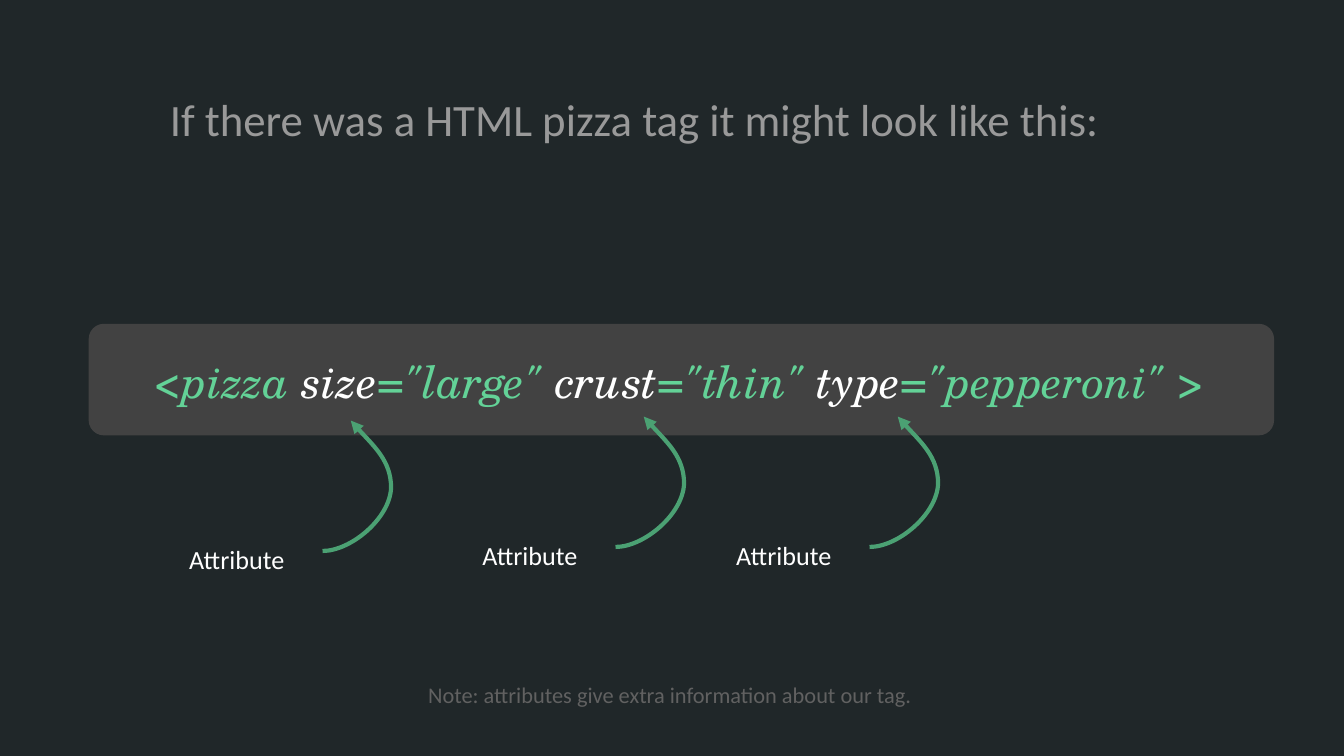
"""Build a slide that points out the attributes of a made-up HTML pizza tag."""
from lxml.etree import SubElement
from pptx import Presentation
from pptx.dml.color import RGBColor
from pptx.enum.shapes import MSO_SHAPE
from pptx.enum.text import MSO_ANCHOR, MSO_AUTO_SIZE, PP_ALIGN
from pptx.oxml.ns import qn
from pptx.util import Inches, Pt

DARK = RGBColor(0x20, 0x27, 0x29)
PANEL = RGBColor(0x42, 0x42, 0x42)
MINT = RGBColor(0x63, 0xD2, 0x97)
GREEN = RGBColor(0x4B, 0xA1, 0x73)
WHITE = RGBColor(0xFF, 0xFF, 0xFF)
SILVER = RGBColor(0x99, 0x99, 0x99)
GRAY = RGBColor(0x61, 0x61, 0x61)

TAG = [
    ("<pizza ", MINT), ("size", WHITE), ('="large" ', MINT), ("crust", WHITE),
    ('="thin" ', MINT), ("type", WHITE), ('="pepperoni" >', MINT),
]
LABELS = [(1.31, 3.91), (3.49, 3.88), (5.38, 3.88)]
CURVE = [
    (1.3, -0.78), (1.43, -0.63), (1.6, -0.48), (1.6, -0.28),
    (1.59, -0.05), (1.3, 0.19), (1.09, 0.19),
]


def write(shape, runs, font, size, align, spacing, italic=None):
    frame = shape.text_frame
    frame.word_wrap = True
    frame.auto_size = MSO_AUTO_SIZE.NONE
    frame.margin_left = frame.margin_right = Inches(0.1)
    frame.margin_top = frame.margin_bottom = Inches(0.1)
    para = frame.paragraphs[0]
    para.alignment = align
    para.line_spacing = spacing
    for text, color in runs:
        run = para.add_run()
        run.text = text
        run.font.name = font
        run.font.size = Pt(size)
        run.font.italic = italic
        run.font.color.rgb = color


def add_arrow(shapes, left, top):
    points = [(Inches(left + x), Inches(top + y)) for x, y in CURVE]
    builder = shapes.build_freeform(*points[0])
    builder.add_line_segments(points[1:], close=False)
    arrow = builder.convert_to_shape()
    lines = list(arrow.element.iter(qn("a:lnTo")))
    for i in range(0, len(lines), 3):
        track = lines[i].getparent()
        bend = SubElement(track, qn("a:cubicBezTo"))
        for line in lines[i:i + 3]:
            bend.append(line[0])
            track.remove(line)
    arrow.shadow.inherit = False
    arrow.fill.background()
    arrow.line.color.rgb = GREEN
    arrow.line.width = Pt(2.25)
    SubElement(arrow.line._get_or_add_ln(), qn("a:headEnd"), type="triangle")


deck = Presentation()
deck.slide_width, deck.slide_height = Inches(10), Inches(10 * 9 / 16)
slide = deck.slides.add_slide(deck.slide_layouts[5])
slide.background.fill.solid()
slide.background.fill.fore_color.rgb = DARK
shapes = slide.shapes

title = shapes.title
title.left, title.top = Inches(0.54), Inches(0.58)
title.width, title.height = Inches(9.03), Inches(4.45)
title.text_frame.vertical_anchor = MSO_ANCHOR.MIDDLE
write(title, TAG, "TeX Gyre Schola", 24, PP_ALIGN.CENTER, 1.15, True)

panel = shapes.add_shape(
    MSO_SHAPE.ROUNDED_RECTANGLE, Inches(0.66), Inches(2.41), Inches(8.82), Inches(0.83))
panel.adjustments[0] = 0.136
panel.shadow.inherit = False
panel.fill.solid()
panel.fill.fore_color.rgb = PANEL
panel.line.fill.background()
title.element.addprevious(panel.element)

note = shapes.add_textbox(Inches(0.4), Inches(4.94), Inches(9.17), Inches(0.44))
write(note, [("Note: attributes give extra information about our tag.", GRAY)],
      "Calibri", 12, PP_ALIGN.CENTER, 1.15)

intro = shapes.add_textbox(Inches(0.4), Inches(0.58), Inches(8.64), Inches(0.83))
write(intro, [("If there was a HTML pizza tag it might look like this:", SILVER)],
      "Calibri", 24, PP_ALIGN.CENTER, 1.0)

for left, top in LABELS:
    add_arrow(shapes, left, top)
    label = shapes.add_textbox(Inches(left), Inches(top), Inches(1.04), Inches(0.44))
    write(label, [("Attribute", WHITE)], "Calibri", 14, PP_ALIGN.LEFT, 1.15)

deck.save("out.pptx")
